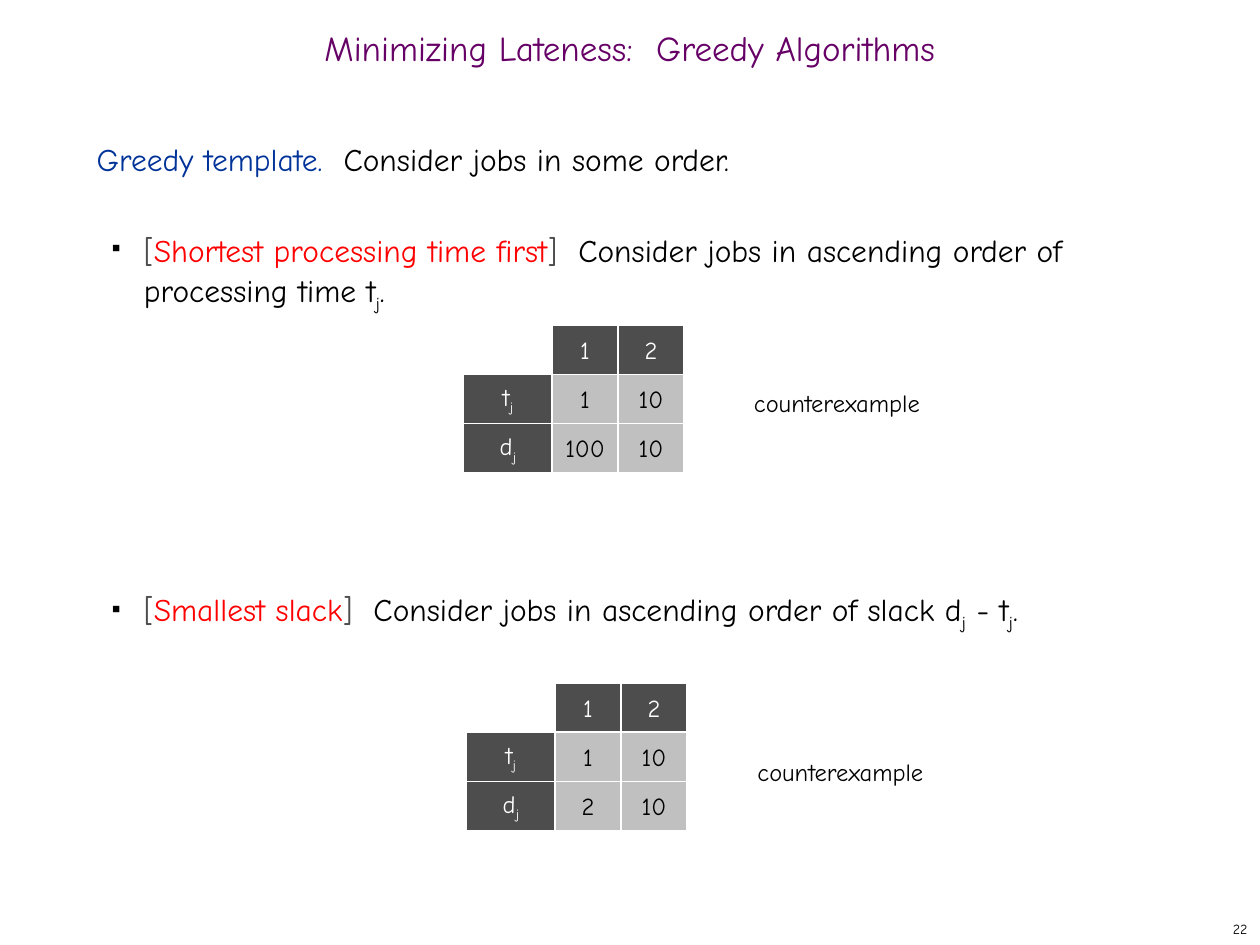
from lxml.etree import SubElement
from pptx import Presentation
from pptx.dml.color import RGBColor
from pptx.enum.shapes import MSO_SHAPE
from pptx.enum.text import MSO_ANCHOR, PP_ALIGN
from pptx.oxml.ns import qn
from pptx.util import Cm, Pt

FONT = "Comic Neue"
C = {"title": "660066", "term": "003399", "text": "000000", "rule": "FF0000",
     "dark": "4D4D4D", "light": "C0C0C0", "white": "FFFFFF"}
LINE_PT = 26

TITLE = [("Minimizing Lateness:  Greedy Algorithms", "title")]
PAGE = [("22", "text")]
NOTE = [("counterexample", "text")]

BODY = [
    {"gap_lines": 0, "bullet": False, "runs": [
        ("Greedy template.  ", "term"), ("Consider jobs in some order.", "text")]},
    {"gap_lines": 1, "bullet": True, "runs": [
        ("[", "dark"), ("Shortest processing time first", "rule"), ("]", "dark"),
        ("  Consider jobs in ascending order of processing time t", "text"),
        ("j", "text", True), (".", "text")]},
    {"gap_lines": 6, "bullet": True, "runs": [
        ("[", "dark"), ("Smallest slack", "rule"), ("]", "dark"),
        ("  Consider jobs in ascending order of slack d", "text"),
        ("j", "text", True), (" - t", "text"), ("j", "text", True), (".", "text")]},
]

JOBS = ["", "1", "2"]
EXAMPLES = [
    {"grid": (9.35, 6.56), "note": (14.95, 7.7), "t": ["1", "10"], "d": ["100", "10"]},
    {"grid": (9.41, 13.77), "note": (15.02, 15.14), "t": ["1", "10"], "d": ["2", "10"]},
]
COL_W = [1.78, 1.33, 1.33]
ROW_H = 0.99


def rgb(name):
    return RGBColor.from_string(C[name])


def add_runs(p, runs, size):
    for text, color, *sub in runs:
        r = p.add_run()
        r.text = text
        r.font.name = FONT
        r.font.size = Pt(size)
        r.font.color.rgb = rgb(color)
        if sub:
            r._r.get_or_add_rPr().set("baseline", "-25000")


def set_text(sp, runs, size, align, anchor, wrap):
    tf = sp.text_frame
    tf.word_wrap = wrap
    tf.vertical_anchor = anchor
    tf.paragraphs[0].alignment = align
    add_runs(tf.paragraphs[0], runs, size)
    return tf


def add_box(s, x, y, w, h, runs=(), size=18, align=PP_ALIGN.LEFT,
            anchor=MSO_ANCHOR.TOP, wrap=True):
    sp = s.shapes.add_textbox(Cm(x), Cm(y), Cm(w), Cm(h))
    return set_text(sp, runs, size, align, anchor, wrap)


def add_bullet(p):
    pPr = p._p.get_or_add_pPr()
    pPr.set("marL", str(Cm(0.95)))
    pPr.set("indent", str(-Cm(0.64)))
    clr = SubElement(pPr, qn("a:buClr"))
    SubElement(clr, qn("a:srgbClr"), val=C["text"])
    SubElement(pPr, qn("a:buSzPct"), val="35000")
    SubElement(pPr, qn("a:buChar"), char="■")


def add_cell(s, x, y, w, runs, fill):
    sp = s.shapes.add_shape(MSO_SHAPE.RECTANGLE, Cm(x), Cm(y), Cm(w), Cm(ROW_H))
    sp.shadow.inherit = False
    sp.fill.solid()
    sp.fill.fore_color.rgb = rgb(fill)
    sp.line.color.rgb = rgb("white")
    sp.line.width = Pt(0.75)
    set_text(sp, runs, 14, PP_ALIGN.CENTER, MSO_ANCHOR.MIDDLE, False)


def add_job_grid(s, x, y, t, d):
    for i, row in enumerate([JOBS, ["t", *t], ["d", *d]]):
        for j, text in enumerate(row):
            if not text:
                continue
            header = i == 0 or j == 0
            color = "white" if header else "text"
            runs = [(text, color)] + ([("j", color, True)] if j == 0 else [])
            add_cell(s, x + sum(COL_W[:j]), y + ROW_H * i, COL_W[j], runs,
                     "dark" if header else "light")


def main():
    prs = Presentation()
    prs.slide_width, prs.slide_height = Cm(25.4), Cm(19.05)
    s = prs.slides.add_slide(prs.slide_layouts[6])

    tf = add_box(s, 0, 0.43, 25.4, 1.27, TITLE, 20, PP_ALIGN.CENTER, MSO_ANCHOR.MIDDLE)
    tf.paragraphs[0].line_spacing = 0.7

    tf = add_box(s, 1.7, 2.54, 21.79, 15.04)
    for i, item in enumerate(BODY):
        p = tf.add_paragraph() if i else tf.paragraphs[0]
        p.line_spacing = Pt(LINE_PT)
        if item["gap_lines"]:
            p.space_before = Pt(LINE_PT * item["gap_lines"])
        if item["bullet"]:
            add_bullet(p)
        add_runs(p, item["runs"], 18)

    for ex in EXAMPLES:
        add_job_grid(s, *ex["grid"], ex["t"], ex["d"])
        add_box(s, *ex["note"], 3.89, 0.84, NOTE, 14, wrap=False)

    add_box(s, 20.12, 18.42, 5.28, 0.63, PAGE, 8, PP_ALIGN.RIGHT, MSO_ANCHOR.MIDDLE)
    prs.save("out.pptx")


if __name__ == "__main__":
    main()
